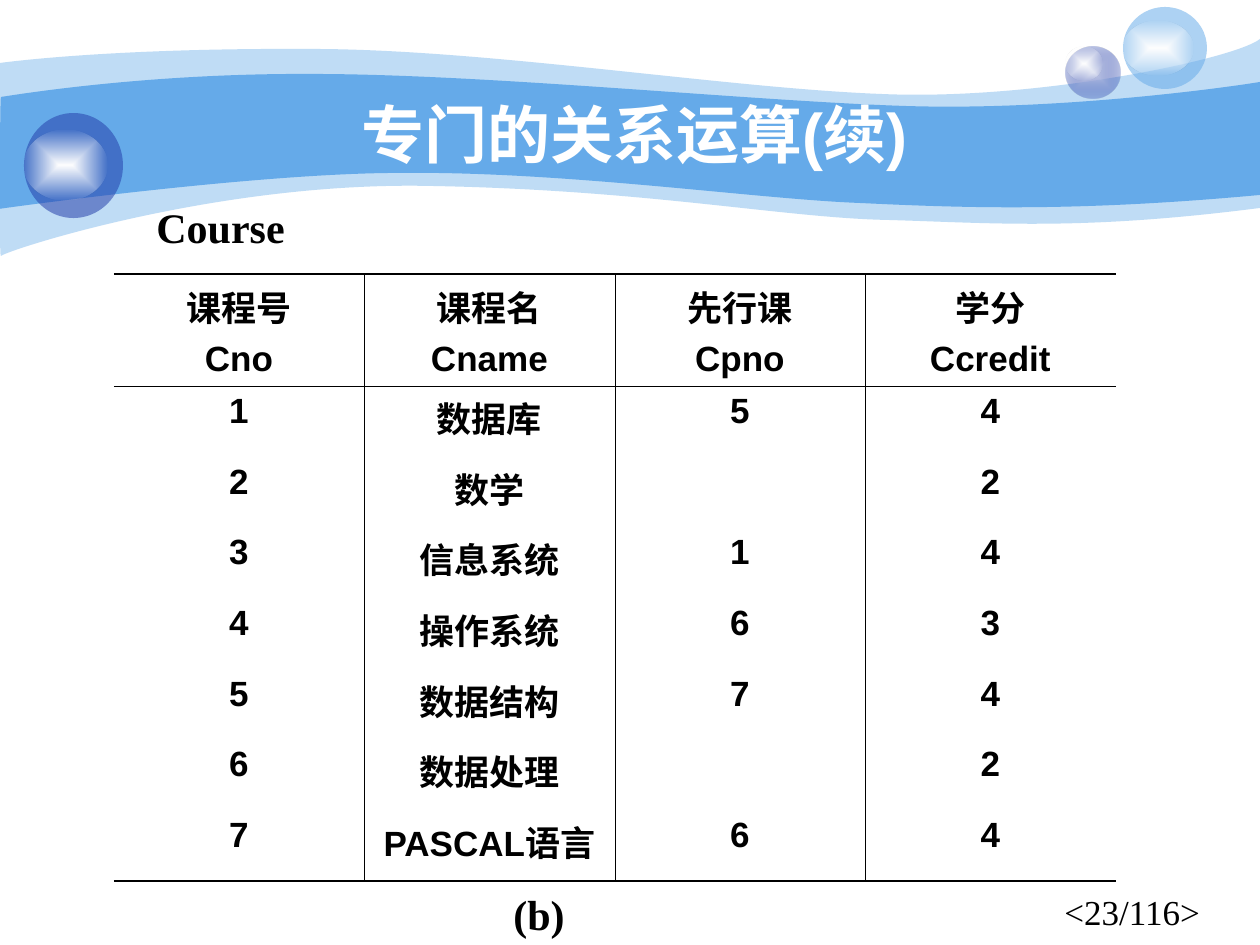
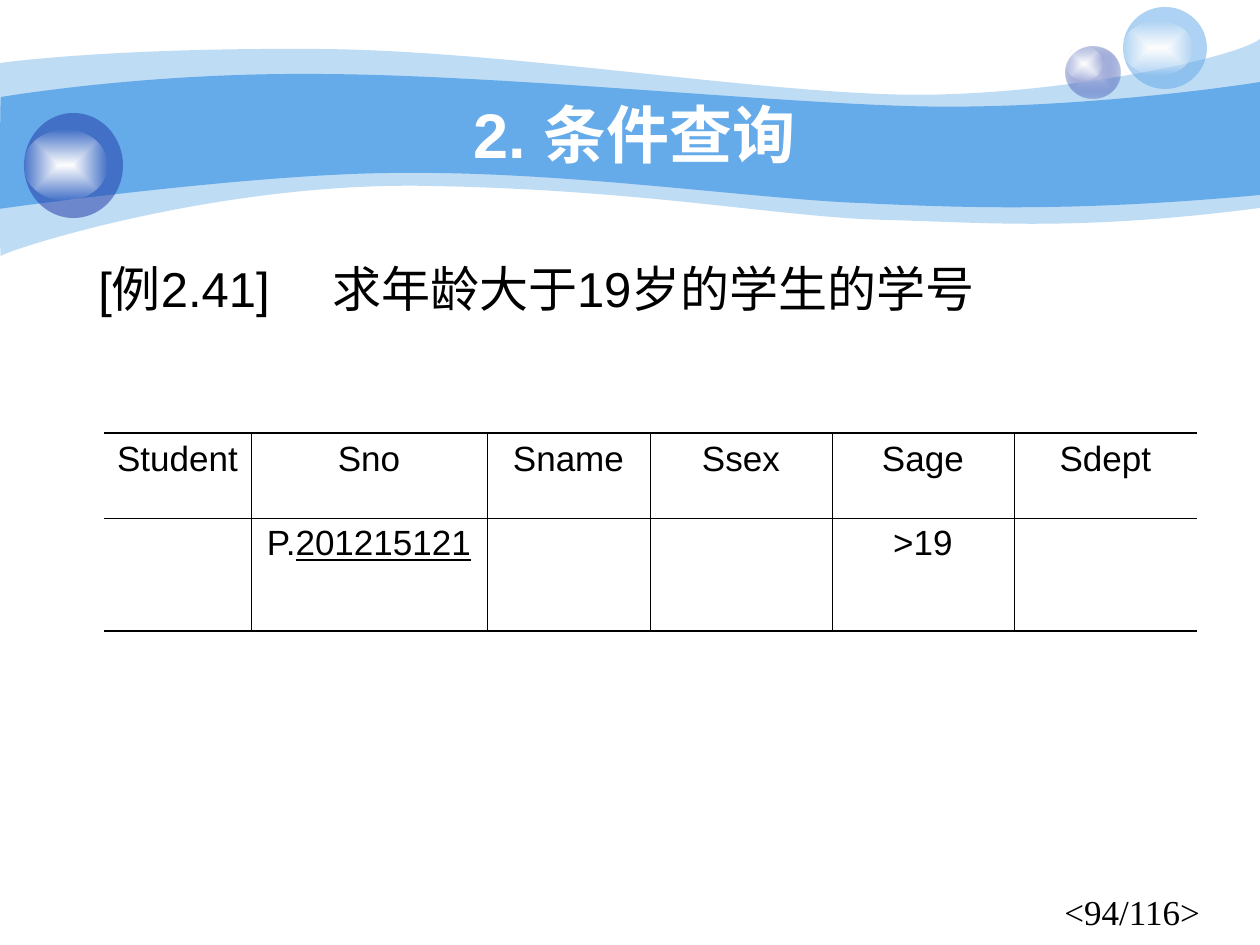
from pptx import Presentation, util as u
from pptx.dml.color import RGBColor
from pptx.enum import shapes, text
from pptx.oxml import parse_xml
from pptx.oxml.ns import nsdecls, qn

PX = 914400 / 126
SKY = RGBColor(0x65, 0xAA, 0xE9)
NAVY = RGBColor(0x23, 0x3D, 0xA9)
LILAC = RGBColor(0xC7, 0xCE, 0xE9)
WHITE = RGBColor(0xFF, 0xFF, 0xFF)
BLACK = RGBColor(0, 0, 0)
SANS, SERIF = "Arial", "Times New Roman"
LEFT, CENTER = text.PP_ALIGN.LEFT, text.PP_ALIGN.CENTER
TOP, MIDDLE = text.MSO_ANCHOR.TOP, text.MSO_ANCHOR.MIDDLE
THICK, THIN = 1.08, 0.45

# Each wave: fill, start point, then lines (1 point) and Bezier curves (3 points)
WAVES = [
    ([(SKY, 41)], (0, 63), [
        [(30, 59), (135, 48), (311, 49)], [(486, 49), (724, 88), (881, 94)],
        [(1036, 101), (1235, 59), (1260, 39)], [(1260, 208)],
        [(1081, 231), (992, 223), (888, 220)], [(784, 218), (649, 190), (432, 186)],
        [(217, 181), (5, 251), (1, 256)], [(-1, 262), (0, 94), (0, 63)]]),
    ([(SKY, 100)], (1, 97), [
        [(3, 97), (139, 73), (312, 74)], [(486, 74), (750, 101), (905, 106)],
        [(1060, 111), (1230, 87), (1260, 82)], [(1260, 195)],
        [(1075, 212), (964, 208), (859, 203)], [(755, 199), (563, 171), (399, 173)],
        [(256, 173), (-3, 209), (-1, 209)], [(0, 209), (0, 97), (1, 97)]]),
]
GLOW = [(WHITE, 100), (WHITE, 0)]
# Each bubble: ball, its fill, highlight
BUBBLES = [
    ((1066, 47, 54, 52), [(LILAC, 100), (NAVY, 31)], (1066, 47, 36, 34)),
    ((1123, 7, 84, 82), [(SKY, 53)], (1123, 21, 70, 54)),
    ((24, 113, 99, 105), [(NAVY, 53)], (24, 130, 83, 70)),
]

TITLE_BOX = (126, 94, 1018, 78)
PAGE_BOX = (1052, 884, 193, 97)
COURSES = [
    ["课程号\nCno", "课程名\nCname", "先行课\nCpno", "学分\nCcredit"],
    ["1", "数据库", "5", "4"],
    ["2", "数学", "", "2"],
    ["3", "信息系统", "1", "4"],
    ["4", "操作系统", "6", "3"],
    ["5", "数据结构", "7", "4"],
    ["6", "数据处理", "", "2"],
    ["7", "PASCAL语言", "6", "4"],
]
QUERY = [
    ["Student", "Sno", "Sname", "Ssex", "Sage", "Sdept"],
    ["", "P.", "", "", ">19", ""],
]
SLIDES = [
    dict(title="专门的关系运算(续)", page="<23/116>", rows=COURSES, bold=True,
         at=(114, 274), widths=[250, 251] * 2, heights=[112, 71, 70, 71, 71, 70, 71, 71],
         labels=[((144, 195, 154, 63), "Course", 24, SERIF, True),
                 ((501, 882, 77, 63), "(b)", 24, SERIF, True)]),
    dict(title="2. 条件查询", page="<94/116>", rows=QUERY, bold=False,
         at=(104, 433), widths=[147, 236, 163, 182, 182, 183], heights=[85, 113],
         labels=[((86, 252, 1070, 171), "[例2.41]\t求年龄大于19岁的学生的学号",
                  28, SANS, False)]),
]


def paint(sp, stops):
    """Fill with one (colour, opacity %) stop, or fade from the centre through several."""
    sp.shadow.inherit = False
    sp.line.fill.background()
    sp.fill.background()
    colors = [f'<a:srgbClr val="{c}"><a:alpha val="{a * 1000}"/></a:srgbClr>' for c, a in stops]
    if len(colors) == 1:
        xml = f'<a:solidFill {nsdecls("a")}>{colors[0]}</a:solidFill>'
    else:
        xml = (f'<a:gradFill {nsdecls("a")}><a:gsLst><a:gs pos="0">{colors[0]}</a:gs>'
               f'<a:gs pos="100000">{colors[1]}</a:gs></a:gsLst><a:path path="rect">'
               '<a:fillToRect l="50000" t="50000" r="50000" b="50000"/></a:path></a:gradFill>')
    spPr = sp._element.spPr
    spPr.replace(spPr.find(qn("a:noFill")), parse_xml(xml))


def add_run(p, words, size, font, bold=False, color=BLACK):
    r = p.add_run()
    r.text = words
    r.font.size, r.font.name, r.font.bold = u.Pt(size), font, bold
    r.font.color.rgb = color
    return r


prs = Presentation()
prs.slide_width, prs.slide_height = round(1260 * PX), round(945 * PX)

for page in SLIDES:
    s = prs.slides.add_slide(prs.slide_layouts[6])

    # Wavy band: lay down every point, then join each three into a curve
    for stops, (x, y), segments in WAVES:
        fb = s.shapes.build_freeform(round(x * PX), round(y * PX))
        fb.add_line_segments([(round(x * PX), round(y * PX)) for seg in segments for x, y in seg])
        wave = fb.convert_to_shape()
        lines = iter(list(wave._element.iter(qn("a:lnTo"))))
        for seg in segments:
            steps = [next(lines) for _ in seg]
            if len(seg) == 3:
                curve = parse_xml(f'<a:cubicBezTo {nsdecls("a")}/>')
                steps[0].addprevious(curve)
                for step in steps:
                    curve.append(step[0])
                    step.getparent().remove(step)
        paint(wave, stops)

    for ball, stops, highlight in BUBBLES:
        group = s.shapes.add_group_shape()
        for box, fill in ((ball, stops), (highlight, GLOW)):
            sp = group.shapes.add_shape(shapes.MSO_SHAPE.OVAL, *[round(v * PX) for v in box])
            paint(sp, fill)

    # Title, page number and labels
    boxes = [(PAGE_BOX, page["page"], 20, SERIF, False, BLACK, LEFT, TOP),
             (TITLE_BOX, page["title"], 36, SANS, True, WHITE, CENTER, MIDDLE)]
    boxes += [(*label, BLACK, LEFT, TOP) for label in page["labels"]]
    for box, words, size, font, bold, color, align, anchor in boxes:
        tf = s.shapes.add_textbox(*[round(v * PX) for v in box]).text_frame
        tf.word_wrap, tf.vertical_anchor = True, anchor
        p = tf.paragraphs[0]
        p.alignment = align
        if "\t" in words:
            p._p.get_or_add_pPr().append(parse_xml(
                f'<a:tabLst {nsdecls("a")}><a:tab pos="{round(234 * PX)}" algn="l"/></a:tabLst>'))
        add_run(p, words, size, font, bold, color)

    # Table
    rows, widths, heights = page["rows"], page["widths"], page["heights"]
    size = (*page["at"], sum(widths), sum(heights))
    tbl = s.shapes.add_table(len(rows), len(widths), *[round(v * PX) for v in size]).table
    for col, w in zip(tbl.columns, widths):
        col.width = round(w * PX)
    for row, h in zip(tbl.rows, heights):
        row.height = round(h * PX)
    last_row, last_col = len(rows) - 1, len(widths) - 1
    for i, row in enumerate(rows):
        for j, words in enumerate(row):
            cell = tbl.cell(i, j)
            tf = cell.text_frame
            for k, line in enumerate(words.split("\n") if words else []):
                p = tf.add_paragraph() if k else tf.paragraphs[0]
                p.alignment = CENTER
                if k:
                    p.space_before = u.Pt(5)
                add_run(p, line, 20, SANS, page["bold"])
            edges = {
                "lnL": THIN if j > 0 else 0,
                "lnR": THIN if j < last_col else 0,
                "lnT": THICK if i == 0 else THIN if i == 1 else 0,
                "lnB": THICK if i == last_row else THIN if i == 0 else 0,
            }
            tcPr = cell._tc.get_or_add_tcPr()
            for tag, width in edges.items():
                ink = (f'<a:solidFill><a:srgbClr val="{BLACK}"/></a:solidFill>'
                       if width else '<a:noFill/>')
                tcPr.append(parse_xml(
                    f'<a:{tag} {nsdecls("a")} w="{u.Pt(width)}">{ink}</a:{tag}>'))
            cell.fill.background()
    if rows is QUERY:
        sample = add_run(tbl.cell(1, 1).text_frame.paragraphs[0], "201215121", 20, SANS)
        sample.font.underline = True

prs.save("out.pptx")
